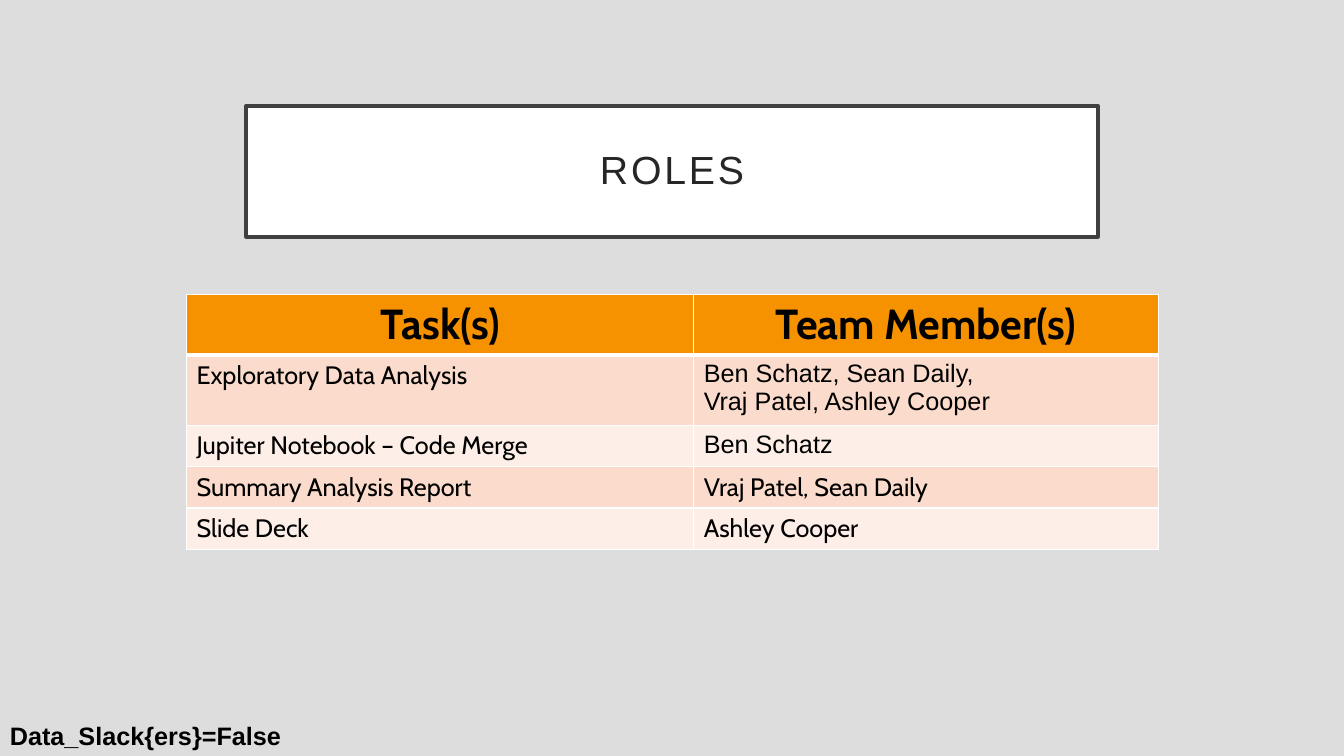
from pptx import Presentation
from pptx.dml.color import RGBColor
from pptx.enum import text
from pptx.oxml import parse_xml
from pptx.oxml.ns import nsdecls
from pptx.util import Inches, Pt

HEADINGS = ["Task(s)", "Team Member(s)"]
ROLES = [
    ("Exploratory Data Analysis", "Ben Schatz, Sean Daily,\nVraj Patel, Ashley Cooper", "Arial"),
    ("Jupiter Notebook – Code Merge", "Ben Schatz", "Arial"),
    ("Summary Analysis Report", "Vraj Patel, Sean Daily", "Cabin"),
    ("Slide Deck", "Ashley Cooper", "Cabin"),
]
COLUMN_WIDTHS = [5.03, 4.61]
ROW_HEIGHTS = [0.59, 0.7, 0.41, 0.41, 0.41]
BANDS = ["FBDCCC", "FDEEE7"]


def color(value):
    """Return the colour of a hex string."""
    return RGBColor.from_string(value)


def write(frame, wording, size=18, font="Cabin", fill="000000", bold=False,
          align=text.PP_ALIGN.LEFT):
    """Fill a text frame, one paragraph a line, and return its paragraphs."""
    frame.text = wording
    for para in frame.paragraphs:
        para.alignment = align
        for span in para.runs:
            span.font.size = Pt(size)
            span.font.name = font
            span.font.bold = bold
            span.font.color.rgb = color(fill)
    return frame.paragraphs


def border(cell, bottom=1):
    """Draw white borders round a table cell."""
    properties = cell._tc.get_or_add_tcPr()
    widths = {"lnL": 1, "lnR": 1, "lnT": 1, "lnB": bottom}
    for index, (side, width) in enumerate(widths.items()):
        properties.insert(index, parse_xml(
            f'<a:{side} {nsdecls("a")} w="{Pt(width)}"><a:solidFill>'
            f'<a:srgbClr val="FFFFFF"/></a:solidFill></a:{side}>'))


def add_title(page, left, top, width, height):
    """Place the framed title."""
    title = page.shapes.title
    title.left, title.top = Inches(left), Inches(top)
    title.width, title.height = Inches(width), Inches(height)
    title.fill.solid()
    title.fill.fore_color.rgb = color("FFFFFF")
    title.line.color.rgb = color("404040")
    title.line.width = Pt(2.5)
    frame = title.text_frame
    frame.vertical_anchor = text.MSO_ANCHOR.MIDDLE
    frame.margin_left = frame.margin_right = Inches(0.2)
    frame.margin_top = frame.margin_bottom = Inches(0.2)
    para = write(frame, "ROLES", size=28, font="Arial", fill="262626",
                 align=text.PP_ALIGN.CENTER)[0]
    para.line_spacing = 0.9
    para.runs[0].font._element.set("spc", "200")


def add_roles(page, left, top, width, height):
    """Place the table of tasks and team members."""
    table = page.shapes.add_table(
        len(ROW_HEIGHTS), len(COLUMN_WIDTHS),
        Inches(left), Inches(top), Inches(width), Inches(height)).table
    for column, size in zip(table.columns, COLUMN_WIDTHS):
        column.width = Inches(size)
    for row, size in zip(table.rows, ROW_HEIGHTS):
        row.height = Inches(size)
    for index, heading in enumerate(HEADINGS):
        cell = table.cell(0, index)
        write(cell.text_frame, heading, size=30, bold=True, align=text.PP_ALIGN.CENTER)
        cell.fill.solid()
        cell.fill.fore_color.rgb = color("F69200")
        border(cell, bottom=3)
    for number, (task, members, font) in enumerate(ROLES, start=1):
        row = table.rows[number]
        write(row.cells[0].text_frame, task)
        write(row.cells[1].text_frame, members, font=font)
        for cell in row.cells:
            cell.fill.solid()
            cell.fill.fore_color.rgb = color(BANDS[(number - 1) % len(BANDS)])
            border(cell)
    for index in range(len(HEADINGS)):
        properties = table.cell(1, index)._tc.tcPr
        properties[2].set("w", str(Pt(3)))


def add_team_name(page, left, top, width, height):
    """Place the team name."""
    box = page.shapes.add_textbox(Inches(left), Inches(top), Inches(width), Inches(height))
    box.text_frame.word_wrap = True
    write(box.text_frame, "Data_Slack{ers}=False", font="Arial", bold=True)


def main():
    """Build and save the slide."""
    deck = Presentation()
    deck.slide_width, deck.slide_height = Inches(13.33), Inches(7.5)
    page = deck.slides.add_slide(deck.slide_layouts[5])
    page.background.fill.solid()
    page.background.fill.fore_color.rgb = color("DDDDDD")
    add_title(page, 2.44, 1.05, 8.45, 1.3)
    add_team_name(page, 0, 7.1, 6.67, 0.4)
    add_roles(page, 1.85, 2.92, sum(COLUMN_WIDTHS), sum(ROW_HEIGHTS))
    deck.save("out.pptx")


if __name__ == "__main__":
    main()
